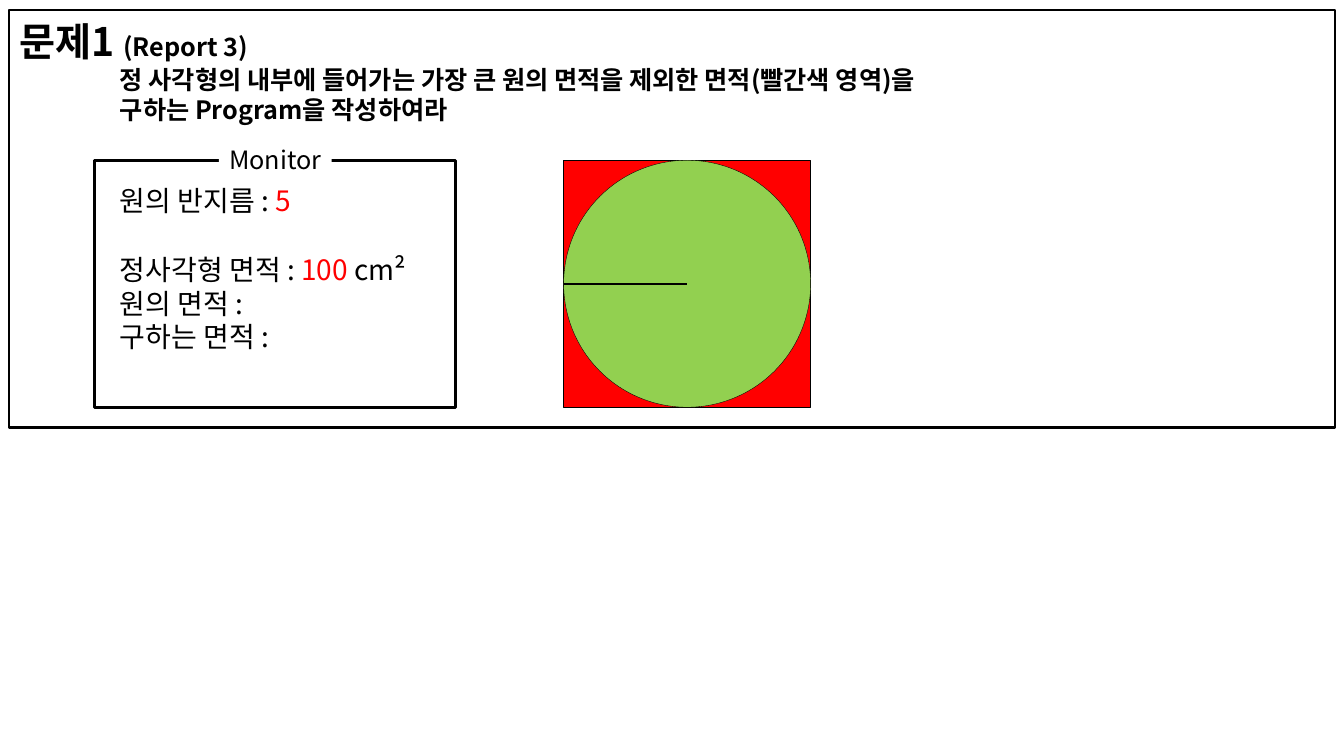
from pptx import Presentation
from pptx.dml.color import RGBColor
from pptx.enum import shapes, text
from pptx.oxml import ns
from pptx.util import Inches, Pt
from lxml import etree

FONT = "Noto Sans CJK KR"
BLACK = RGBColor(0, 0, 0)
WHITE = RGBColor(255, 255, 255)
RED = RGBColor(255, 0, 0)
GREEN = RGBColor(0x92, 0xD0, 0x50)
RECT = shapes.MSO_SHAPE.RECTANGLE

# Each line: runs of (text, colour), then its format
TITLE = dict(line=35.5, bold=True)
TASK = dict(size=18, line=21.5, indent=1, bold=True)
OUTPUT = dict(size=20, line=24.2, indent=1)
LINES = [
    ([("문제1 ", BLACK, 28), ("(Report 3)", BLACK, 18)], TITLE),
    ([("정 사각형의 내부에 들어가는 가장 큰 원의 면적을 제외한 면적(빨간색 영역)을", BLACK)], TASK),
    ([("구하는 Program을 작성하여라", BLACK)], TASK),
    ([("원의 반지름 : ", BLACK), ("5", RED)], OUTPUT | dict(before=41.5)),
    ([("정사각형 면적 : ", BLACK), ("100", RED), (" cm²", BLACK)], OUTPUT | dict(before=25)),
    ([("원의 면적 :", BLACK)], OUTPUT),
    ([("구하는 면적 :", BLACK)], OUTPUT),
]
LABEL = [([("Monitor", BLACK)], dict(size=18, line=21.6, align=text.PP_ALIGN.CENTER))]

PROBLEM_BOX = (0.09, 0.1, 13.15, 4.14)
MONITOR_BOX = (0.94, 1.59, 3.58, 2.45)
LABEL_BOX = (2.17, 1.38, 1.12, 0.4)
SQUARE_LEFT, SQUARE_TOP, SIDE = 5.59, 1.59, 2.45


def add_shape(s, kind, box, fill=None, line=None, width=2):
    sp = s.shapes.add_shape(kind, *map(Inches, box))
    sp.shadow.inherit = False
    if fill is None:
        sp.fill.background()
    else:
        sp.fill.solid()
        sp.fill.fore_color.rgb = fill
    if line is None:
        sp.line.fill.background()
    else:
        sp.line.color.rgb = line
        sp.line.width = Pt(width)
    return sp


def add_line(p, runs, size=None, line=24, before=0, indent=0, bold=False,
             align=text.PP_ALIGN.LEFT):
    """Fill a paragraph; a run may carry its own size as a third item."""
    p.alignment = align
    p.line_spacing = Pt(line)
    p.space_before = Pt(before)
    pPr = p._p.get_or_add_pPr()
    pPr.set("marL", str(Inches(indent)))
    pPr.set("indent", "0")
    for words, color, *own_size in runs:
        r = p.add_run()
        r.text = words
        r.font.name = FONT
        r.font.size = Pt(own_size[0] if own_size else size)
        r.font.bold = bold
        r.font.color.rgb = color
        etree.SubElement(r.font._element, ns.qn("a:ea"), typeface=FONT)


def write(sp, lines, wrap=True):
    tf = sp.text_frame
    tf.word_wrap = wrap
    tf.vertical_anchor = text.MSO_ANCHOR.TOP
    for i, (runs, style) in enumerate(lines):
        p = tf.add_paragraph() if i else tf.paragraphs[0]
        add_line(p, runs, **style)


def add_radius(s):
    middle = SQUARE_TOP + SIDE / 2
    ends = (SQUARE_LEFT, middle, SQUARE_LEFT + SIDE / 2, middle)
    radius = s.shapes.add_connector(shapes.MSO_CONNECTOR.STRAIGHT, *map(Inches, ends))
    radius.line.color.rgb = BLACK
    radius.line.width = Pt(1.5)
    etree.SubElement(radius._element.spPr, ns.qn("a:effectLst"))


def main():
    prs = Presentation()
    prs.slide_width, prs.slide_height = Inches(13.33), Inches(7.5)
    s = prs.slides.add_slide(prs.slide_layouts[6])
    write(add_shape(s, RECT, PROBLEM_BOX, line=BLACK), LINES)
    add_shape(s, RECT, MONITOR_BOX, line=BLACK)
    write(add_shape(s, RECT, LABEL_BOX, fill=WHITE), LABEL, wrap=False)
    for kind, fill in ((RECT, RED), (shapes.MSO_SHAPE.OVAL, GREEN)):
        add_shape(s, kind, (SQUARE_LEFT, SQUARE_TOP, SIDE, SIDE), fill, BLACK, 0.25)
    add_radius(s)
    prs.save("out.pptx")


if __name__ == "__main__":
    main()
